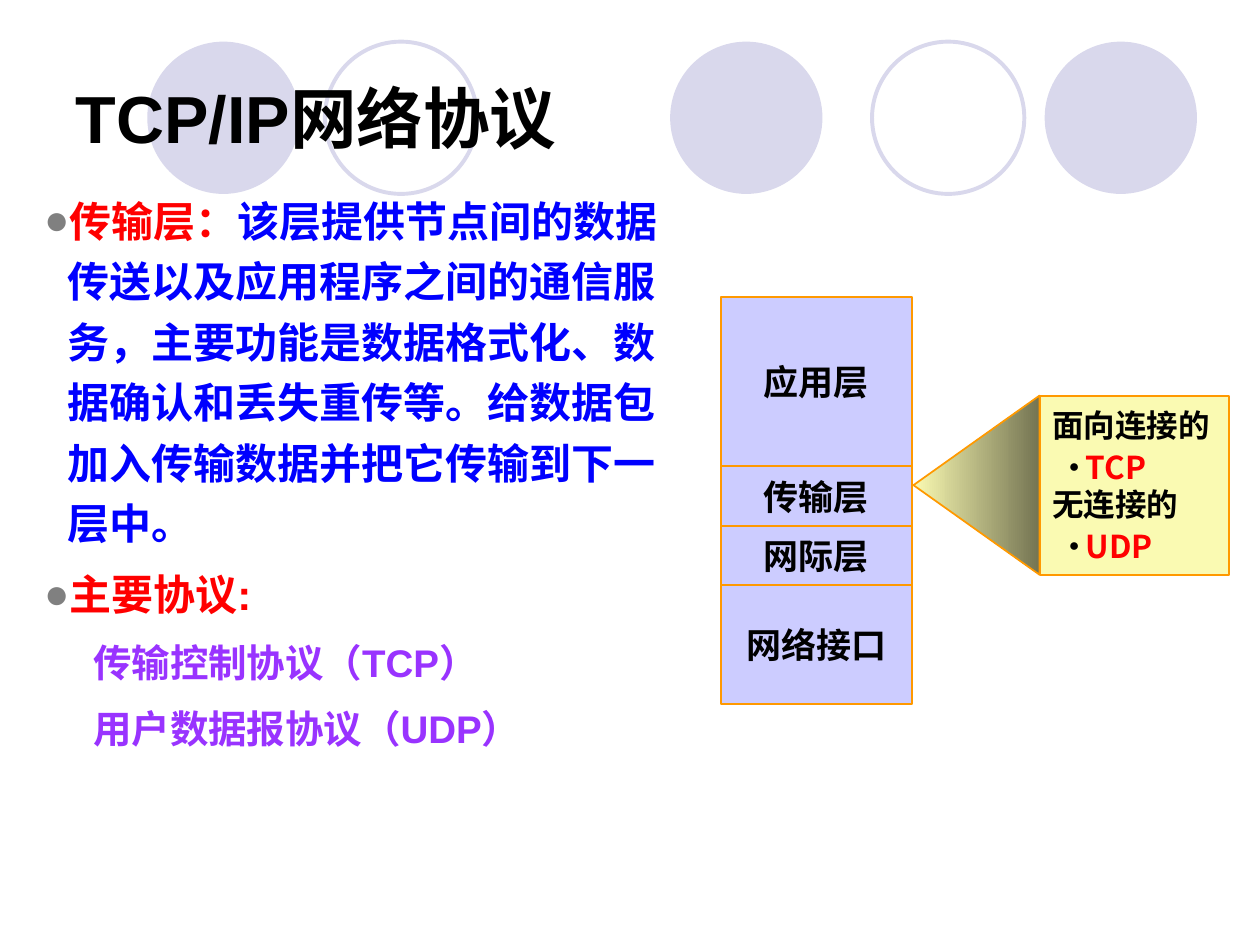
from lxml import etree
from pptx import Presentation
from pptx.dml.color import RGBColor
from pptx.enum.shapes import MSO_SHAPE
from pptx.enum.text import MSO_ANCHOR, PP_ALIGN
from pptx.oxml.ns import qn
from pptx.util import Cm, Pt

OVAL, RECTANGLE, TRIANGLE = MSO_SHAPE.OVAL, MSO_SHAPE.RECTANGLE, MSO_SHAPE.ISOSCELES_TRIANGLE
TOP, MIDDLE = MSO_ANCHOR.TOP, MSO_ANCHOR.MIDDLE
LEFT, CENTER = PP_ALIGN.LEFT, PP_ALIGN.CENTER

BLACK = RGBColor(0x00, 0x00, 0x00)
RED = RGBColor(0xFF, 0x00, 0x00)
BLUE = RGBColor(0x00, 0x00, 0xFF)
PURPLE = RGBColor(0x99, 0x33, 0xFF)
GRAY = RGBColor(0x80, 0x80, 0x80)
LAVENDER = RGBColor(0xD9, 0xD8, 0xEC)
PERIWINKLE = RGBColor(0xCC, 0xCC, 0xFF)
ORANGE = RGBColor(0xFF, 0x99, 0x00)
CREAM = RGBColor(0xFA, 0xFA, 0xB2)
OLIVE = RGBColor(0x74, 0x74, 0x52)

LATIN, CHINESE = "Arial", "Noto Sans CJK SC"

TITLE = "TCP/IP网络协议"
# Left edge in cm, filled or outlined
CIRCLES = [(2.97, True), (6.55, False), (13.51, True), (17.58, False), (21.06, True)]
# Spans of (text, colour), with a bullet or as a sub-item
BODY = [
    ([("传输层：", RED),
      ("该层提供节点间的数据传送以及应用程序之间的通信服务，主要功能是数据格式化、"
       "数据确认和丢失重传等。给数据包加入传输数据并把它传输到下一层中。", BLUE)], True),
    ([("主要协议:", RED)], True),
    ([("传输控制协议（TCP）", PURPLE)], False),
    ([("用户数据报协议（UDP）", PURPLE)], False),
]
# Layer name, height in cm
LAYERS = [("应用层", 3.41), ("传输层", 1.2), ("网际层", 1.2), ("网络接口", 2.39)]
SERVICES = [("面向连接的", "TCP"), ("无连接的", "UDP")]


def set_font(paragraph, size, color, latin=LATIN):
    font = paragraph.font
    font.size, font.bold, font.name = Pt(size), True, latin
    font.color.rgb = color
    east_asian = etree.SubElement(font._element, qn("a:ea"))
    east_asian.set("typeface", CHINESE)


def set_indent(paragraph, margin, first_line):
    properties = paragraph._p.get_or_add_pPr()
    properties.set("marL", str(Cm(margin)))
    properties.set("indent", str(Cm(first_line)))
    return properties


def add_bullet(paragraph, margin, color, percent):
    """Hang a round bullet in the margin (cm), sized in percent of the text."""
    properties = set_indent(paragraph, margin, -margin / 2 if percent < 100 else -margin)
    bullet_color = etree.SubElement(properties, qn("a:buClr"))
    etree.SubElement(bullet_color, qn("a:srgbClr")).set("val", str(color))
    etree.SubElement(properties, qn("a:buSzPct")).set("val", str(percent * 1000))
    etree.SubElement(properties, qn("a:buFont")).set("typeface", LATIN)
    etree.SubElement(properties, qn("a:buChar")).set("char", "●")


def add_shape(page, kind, left, top, width, height, fill=None, line=None, weight=1):
    shape = page.shapes.add_shape(kind, Cm(left), Cm(top), Cm(width), Cm(height))
    shape.shadow.inherit = False
    if fill is None:
        shape.fill.background()
    else:
        shape.fill.solid()
        shape.fill.fore_color.rgb = fill
    if line is None:
        shape.line.fill.background()
    else:
        shape.line.color.rgb = line
        shape.line.width = Pt(weight)
    return shape


def next_paragraph(frame, index):
    return frame.paragraphs[0] if index == 0 else frame.add_paragraph()


def add_circles(page):
    for left, filled in CIRCLES:
        style = {"fill": LAVENDER} if filled else {"line": LAVENDER, "weight": 2.25}
        add_shape(page, OVAL, left, 0.84, 3.07, 3.07, **style)


def place_title(page):
    title = page.shapes.title
    page.shapes._spTree.append(title._element)  # in front of the circles
    title.left, title.top, title.width, title.height = Cm(1.27), Cm(0.76), Cm(22.86), Cm(3.18)
    frame = title.text_frame
    frame.text = TITLE
    frame.vertical_anchor = MIDDLE
    frame.paragraphs[0].alignment = LEFT
    set_font(frame.paragraphs[0], 38, BLACK)


def add_body(page):
    frame = page.shapes.add_textbox(Cm(0.64), Cm(3.61), Cm(13.06), Cm(14.43)).text_frame
    frame.word_wrap = True
    frame.vertical_anchor = TOP
    for index, (spans, bulleted) in enumerate(BODY):
        paragraph = next_paragraph(frame, index)
        if bulleted:
            add_bullet(paragraph, 0.48, GRAY, 100)
        else:
            set_indent(paragraph, 1.73, -0.74)
        paragraph.line_spacing = 1.2
        paragraph.space_before = Pt(3 if index else 0)
        paragraph.space_after = Pt(3)
        set_font(paragraph, 24 if bulleted else 22, spans[0][1])
        for text, color in spans:
            span = paragraph.add_run()
            span.text = text
            if color != spans[0][1]:
                span.font.color.rgb = color


def add_layers(page):
    top = 5.99
    for name, height in LAYERS:
        box = add_shape(page, RECTANGLE, 14.53, top, 3.86, height, PERIWINKLE, ORANGE)
        frame = box.text_frame
        frame.text = name
        frame.vertical_anchor = MIDDLE
        frame.paragraphs[0].alignment = CENTER
        set_font(frame.paragraphs[0], 20, BLACK, CHINESE)
        top += height


def add_callout(page):
    pointer = add_shape(page, TRIANGLE, 17.88, 8.51, 3.61, 2.54, CREAM, ORANGE)
    pointer.rotation = 270
    pointer.fill.gradient()
    pointer.fill.gradient_angle = 0
    for stop, color in zip(pointer.fill.gradient_stops, (CREAM, OLIVE)):
        stop.color.rgb = color
    pointer._element.spPr.find(qn("a:gradFill")).set("rotWithShape", "0")

    box = add_shape(page, RECTANGLE, 20.96, 7.98, 3.81, 3.61, CREAM, ORANGE)
    frame = box.text_frame
    frame.word_wrap = True
    frame.vertical_anchor = MIDDLE
    lines = [line for service in SERVICES for line in service]
    for index, text in enumerate(lines):
        paragraph = next_paragraph(frame, index)
        is_protocol = index % 2 == 1
        if is_protocol:
            add_bullet(paragraph, 0.68, BLACK, 56)
            paragraph.space_before = Pt(2)
        paragraph.alignment = LEFT
        set_font(paragraph, 18, RED if is_protocol else BLACK, CHINESE)
        paragraph.add_run().text = text


def main():
    deck = Presentation()
    deck.slide_width, deck.slide_height = Cm(25.4), Cm(19.05)
    page = deck.slides.add_slide(deck.slide_layouts[5])
    add_circles(page)
    place_title(page)
    add_body(page)
    add_layers(page)
    add_callout(page)
    deck.save("out.pptx")


if __name__ == "__main__":
    main()
